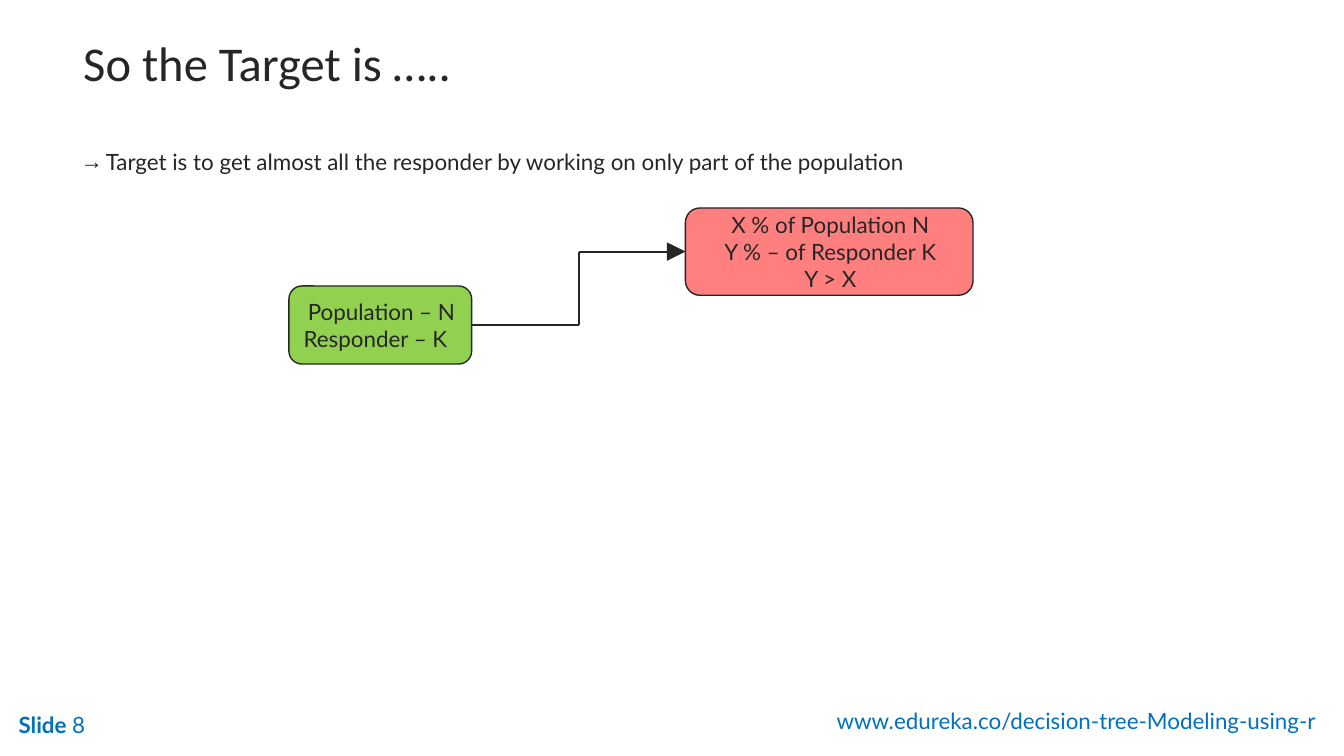
import pptx
import pptx.dml.color
import pptx.enum.shapes
import pptx.enum.text
import pptx.oxml
import pptx.oxml.ns
import pptx.util
from dataclasses import dataclass

Pt = pptx.util.Pt
RGB = pptx.dml.color.RGBColor.from_string
Align = pptx.enum.text.PP_ALIGN
Anchor = pptx.enum.text.MSO_ANCHOR
Shape = pptx.enum.shapes.MSO_SHAPE
qn = pptx.oxml.ns.qn


@dataclass(frozen=True)
class Theme:
    ink: str = "262626"
    link: str = "0070C0"
    population: str = "92D050"
    target: str = "FF0000"
    title_size: int = 26
    text_size: int = 12
    title_font: str = "Calibri"
    text_font: str = "Lato"


theme = Theme()


def write(para, text, font=theme.text_font, size=theme.text_size,
          color=theme.ink, bold=False, align=Align.LEFT):
    para.alignment = align
    span = para.add_run()
    span.text = text
    span.font.name = font
    span.font.size = Pt(size)
    span.font.bold = bold
    span.font.color.rgb = RGB(color)


def add_xml(parent, tag, **attributes):
    child = pptx.oxml.parse_xml(
        f'<a:{tag} xmlns:a="http://schemas.openxmlformats.org/drawingml/2006/main"/>')
    for name, value in attributes.items():
        child.set(name, value)
    parent.append(child)


deck = pptx.Presentation()
deck.slide_width, deck.slide_height = Pt(720), Pt(405)
page = deck.slides.add_slide(deck.slide_layouts[1])

# Footer
footers = [
    ((404.8, 375.4, 307.4, 21.6), Align.RIGHT,
     [("www.edureka.co/decision-tree-Modeling-using-r", False)]),
    ((2.9, 377.3, 113.8, 21.6), Align.LEFT, [("Slide ", True), ("8", False)]),
]
for place, align, spans in footers:
    box = page.shapes.add_textbox(*map(Pt, place))
    box.text_frame.word_wrap = True
    for text, bold in spans:
        write(box.text_frame.paragraphs[0], text, color=theme.link, bold=bold, align=align)

# Title and bullet
title, body = page.placeholders
for holder, place, anchor in [(title, (37.4, 13, 620.6, 40.3), Anchor.MIDDLE),
                              (body, (36, 68.4, 620.6, 309.6), Anchor.TOP)]:
    holder.left, holder.top, holder.width, holder.height = map(Pt, place)
    holder.text_frame.vertical_anchor = anchor
    holder.text_frame.auto_size = pptx.enum.text.MSO_AUTO_SIZE.NONE

write(title.text_frame.paragraphs[0], "So the Target is …..",
      font=theme.title_font, size=theme.title_size)

bullet = body.text_frame.paragraphs[0]
bullet.level = 1
properties = bullet._p.get_or_add_pPr()
properties.set("marL", str(Pt(13.5)))
properties.set("indent", str(Pt(-13.5)))
add_xml(properties, "buChar", char="→")
bullet.line_spacing = 1.5
bullet.space_before = Pt(0)
write(bullet, "Target is to get almost all the responder by working on only part of the population")

# Population and target boxes
cards = []
for place, fill, lines in [
    ((367.2, 111.4, 154.1, 46.8), theme.target,
     [("X % of Population N", Align.CENTER), ("Y % – of Responder K", Align.CENTER),
      ("Y > X", Align.CENTER)]),
    ((154.8, 153.2, 97.9, 41.8), theme.population,
     [("Population – N", Align.CENTER), ("Responder – K", Align.LEFT)]),
]:
    card = page.shapes.add_shape(Shape.ROUNDED_RECTANGLE, *map(Pt, place))
    card.shadow.inherit = False
    card.fill.solid()
    card.fill.fore_color.rgb = RGB(fill)
    card.line.color.rgb = RGB(theme.ink)
    card.line.width = Pt(0.75)
    frame = card.text_frame
    frame.word_wrap = True
    frame.vertical_anchor = Anchor.MIDDLE
    frame.margin_left, frame.margin_right = Pt(5.8), Pt(4.5)
    frame.margin_top = frame.margin_bottom = 0
    for index, (text, align) in enumerate(lines):
        write(frame.add_paragraph() if index else frame.paragraphs[0], text, align=align)
    cards.append(card)
target, population = cards
add_xml(target.fill._xPr.find(qn("a:solidFill")).find(qn("a:srgbClr")), "alpha", val="50000")

# Stepped arrow from the population to the target
start_y = population.top + population.height // 2
end_y = target.top + target.height // 2
bend_x = Pt(310.3)
route = [(population.left + population.width, start_y), (bend_x, start_y),
         (bend_x, end_y), (target.left, end_y)]
segments = []
for start, end in zip(route, route[1:]):
    segment = page.shapes.add_connector(
        pptx.enum.shapes.MSO_CONNECTOR.STRAIGHT, *start, *end)
    segment.line.color.rgb = RGB(theme.ink)
    segment.line.width = Pt(1)
    add_xml(segment._element.spPr, "effectLst")
    segments.append(segment)
segments[0].begin_connect(population, 3)
segments[-1].end_connect(target, 1)
add_xml(segments[-1].line._get_or_add_ln(), "tailEnd", type="triangle", w="lg", len="lg")

deck.save("out.pptx")
